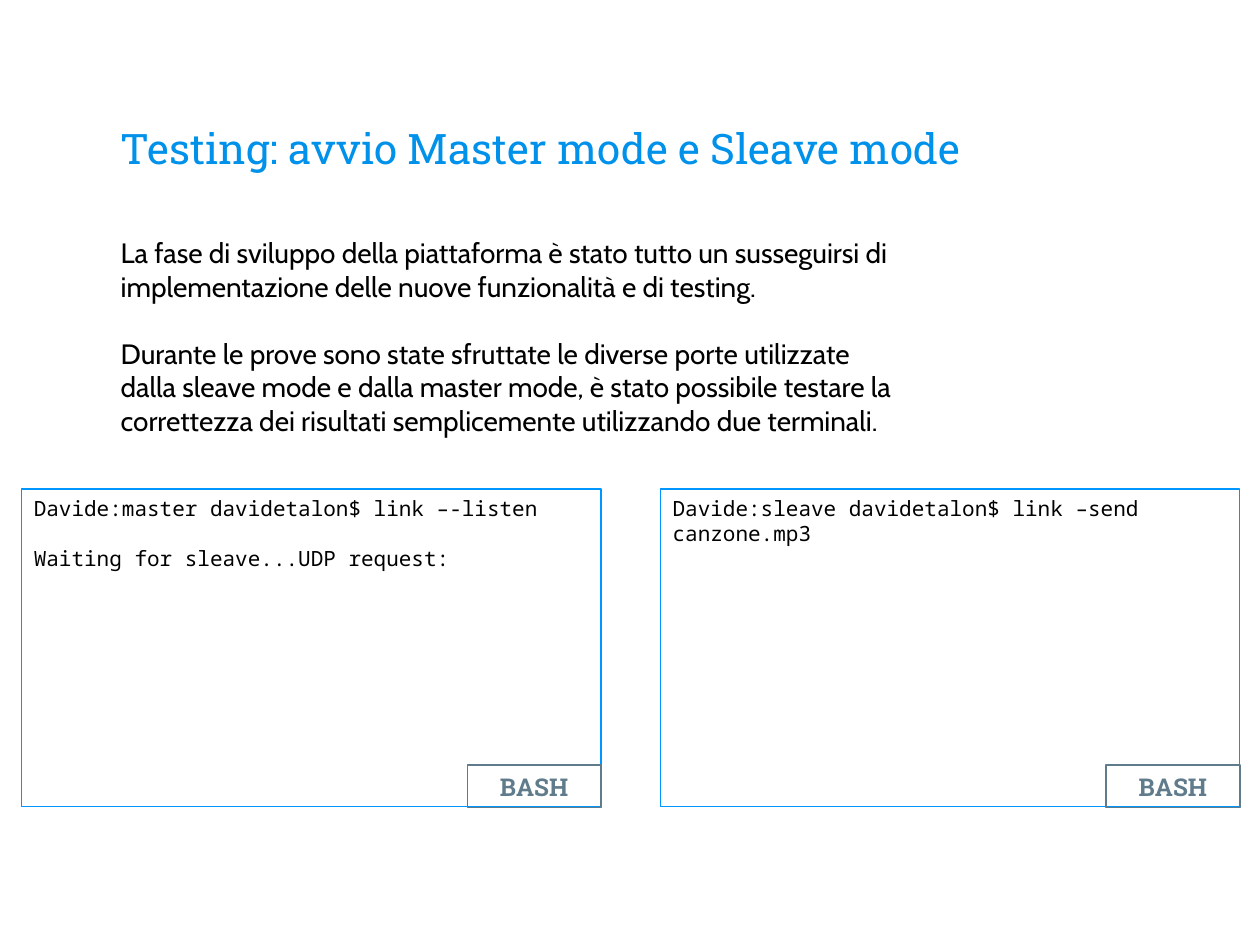
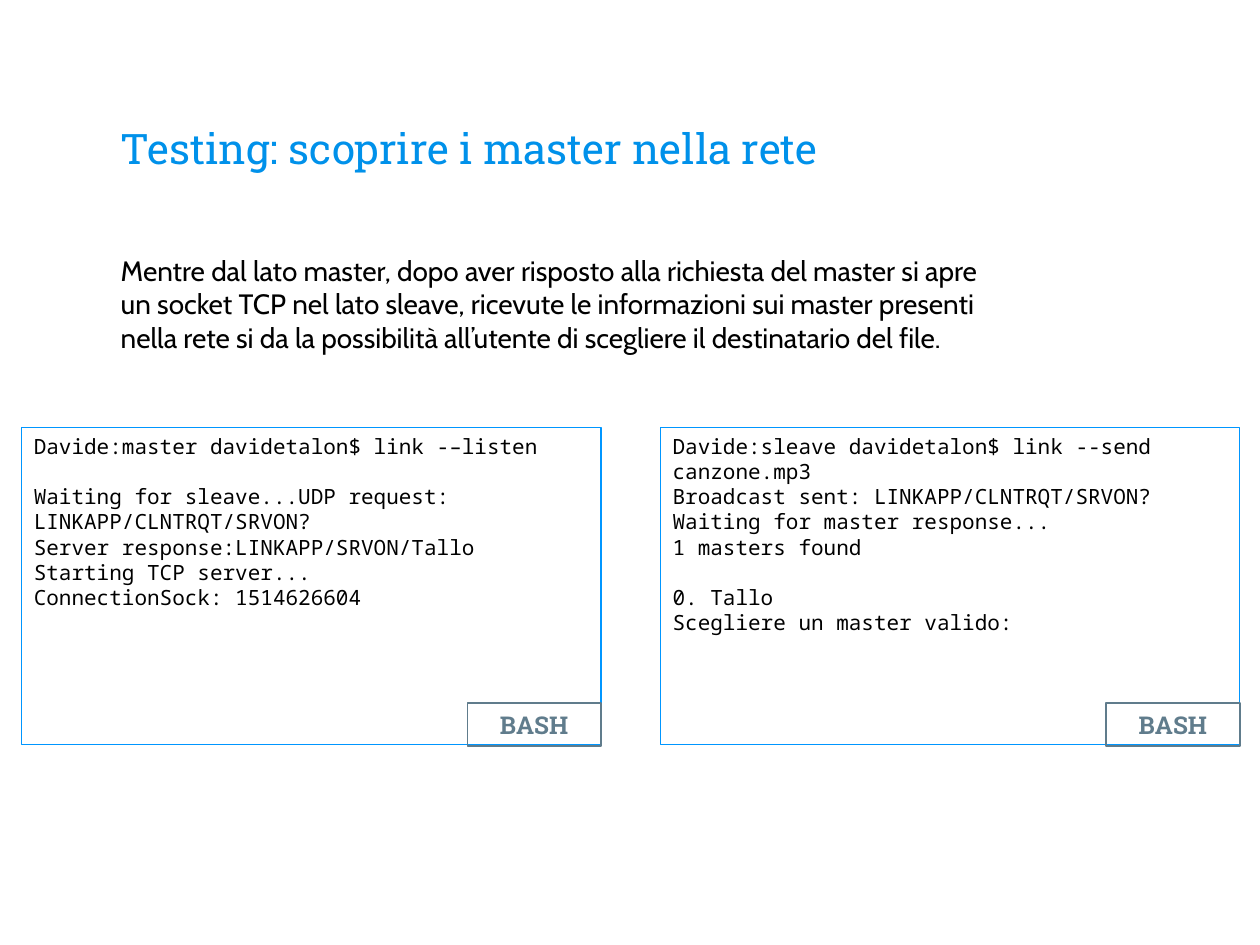
from pptx import Presentation
from pptx.dml.color import RGBColor
from pptx.enum.shapes import MSO_SHAPE
from pptx.enum.text import MSO_ANCHOR, MSO_AUTO_SIZE, PP_ALIGN
from pptx.util import Inches, Pt

RECTANGLE = MSO_SHAPE.RECTANGLE
TOP, MIDDLE, BOTTOM = MSO_ANCHOR.TOP, MSO_ANCHOR.MIDDLE, MSO_ANCHOR.BOTTOM
LEFT, CENTER = PP_ALIGN.LEFT, PP_ALIGN.CENTER
NO_AUTOFIT = MSO_AUTO_SIZE.NONE

COLORS = {
    "title": "0091EA",
    "text": "000000",
    "terminal": "0096FF",
    "label": "607C8C",
    "background": "FFFFFF",
}
TITLE_FONT, BODY_FONT, CODE_FONT = "Roboto Slab", "Cabin", "Noto Sans Mono"
TITLE_ONLY = 5
MARGIN = 0.86
TERMINAL_LEFTS = (0.17, 5.24)
TERMINAL_WIDTH, TERMINAL_HEIGHT = 4.6, 2.52
LABEL_WIDTH, LABEL_HEIGHT = 1.06, 0.34
LINE_FACTOR = 1.2


def color(name):
    return RGBColor.from_string(COLORS[name])


def write_text(frame, blocks, font, size, ink="text", bold=False,
               align=LEFT, anchor=TOP, inset=0.05):
    frame.word_wrap = True
    frame.auto_size = NO_AUTOFIT
    frame.vertical_anchor = anchor
    frame.margin_left = frame.margin_right = Inches(0.1)
    frame.margin_top = frame.margin_bottom = Inches(inset)
    lines = [(line, block_index > 0 and line_index == 0)
             for block_index, block in enumerate(blocks)
             for line_index, line in enumerate(block)]
    for index, (line, starts_block) in enumerate(lines):
        para = frame.add_paragraph() if index else frame.paragraphs[0]
        para.alignment = align
        para.space_before = Pt(size * LINE_FACTOR if starts_block else 0)
        span = para.add_run()
        span.text = line
        span.font.name = font
        span.font.size = Pt(size)
        span.font.bold = bold
        span.font.color.rgb = color(ink)


class TestingDeck:
    def __init__(self):
        self.deck = Presentation()
        self.deck.slide_width = Inches(10)
        self.deck.slide_height = Inches(7.5)
        self.page = None

    def add_page(self, title):
        self.page = self.deck.slides.add_slide(self.deck.slide_layouts[TITLE_ONLY])
        fill = self.page.background.fill
        fill.solid()
        fill.fore_color.rgb = color("background")
        box = self.page.shapes.title
        box.left, box.top = Inches(MARGIN), Inches(0.45)
        box.width, box.height = Inches(8.28), Inches(1.02)
        write_text(box.text_frame, [[title]], TITLE_FONT, 24, ink="title",
                   anchor=BOTTOM, inset=0.1)

    def add_body(self, top, width, height, blocks):
        box = self.page.shapes.add_textbox(
            Inches(MARGIN), Inches(top), Inches(width), Inches(height))
        write_text(box.text_frame, blocks, BODY_FONT, 16)

    def add_frame(self, left, top, width, height, line, weight):
        box = self.page.shapes.add_shape(
            RECTANGLE, Inches(left), Inches(top), Inches(width), Inches(height))
        box.shadow.inherit = False
        box.fill.background()
        box.line.color.rgb = color(line)
        box.line.width = Pt(weight)
        return box

    def add_terminal(self, left, top, blocks):
        box = self.add_frame(left, top, TERMINAL_WIDTH, TERMINAL_HEIGHT,
                             "terminal", 0.75)
        write_text(box.text_frame, blocks, CODE_FONT, 12)
        label = self.add_frame(left + TERMINAL_WIDTH - LABEL_WIDTH,
                               top + TERMINAL_HEIGHT - LABEL_HEIGHT + 0.01,
                               LABEL_WIDTH, LABEL_HEIGHT, "label", 1)
        write_text(label.text_frame, [["BASH"]], TITLE_FONT, 14, ink="label",
                   bold=True, align=CENTER, anchor=MIDDLE)

    def add_terminals(self, top, sessions):
        for left, blocks in zip(TERMINAL_LEFTS, sessions):
            self.add_terminal(left, top, blocks)


def main():
    slides = TestingDeck()

    slides.add_page("Testing: avvio Master mode e Sleave mode")
    slides.add_body(1.82, 6.47, 1.72, [
        ["La fase di sviluppo della piattaforma è stato tutto un susseguirsi di "
         "implementazione delle nuove funzionalità e di testing."],
        ["Durante le prove sono state sfruttate le diverse porte utilizzate dalla "
         "sleave mode e dalla master mode, è stato possibile testare la correttezza "
         "dei risultati semplicemente utilizzando due terminali."],
    ])
    slides.add_terminals(3.88, [
        [["Davide:master davidetalon$ link –-listen"],
         ["Waiting for sleave...UDP request:"]],
        [["Davide:sleave davidetalon$ link –send canzone.mp3"]],
    ])

    slides.add_page("Testing: scoprire i master nella rete")
    slides.add_terminals(3.39, [
        [["Davide:master davidetalon$ link -–listen"],
         ["Waiting for sleave...UDP request: LINKAPP/CLNTRQT/SRVON?",
          "Server response:LINKAPP/SRVON/Tallo",
          "Starting TCP server...",
          "ConnectionSock: 1514626604"]],
        [["Davide:sleave davidetalon$ link --send canzone.mp3",
          "Broadcast sent: LINKAPP/CLNTRQT/SRVON?",
          "Waiting for master response...",
          "1 masters found"],
         ["0. Tallo",
          "Scegliere un master valido:"]],
    ])
    slides.add_body(1.96, 7.11, 0.91, [
        ["Mentre dal lato master, dopo aver risposto alla richiesta del master si "
         "apre un socket TCP nel lato sleave, ricevute le informazioni sui master "
         "presenti nella rete si da la possibilità all’utente di scegliere il "
         "destinatario del file."],
    ])

    slides.deck.save("out.pptx")


if __name__ == "__main__":
    main()
